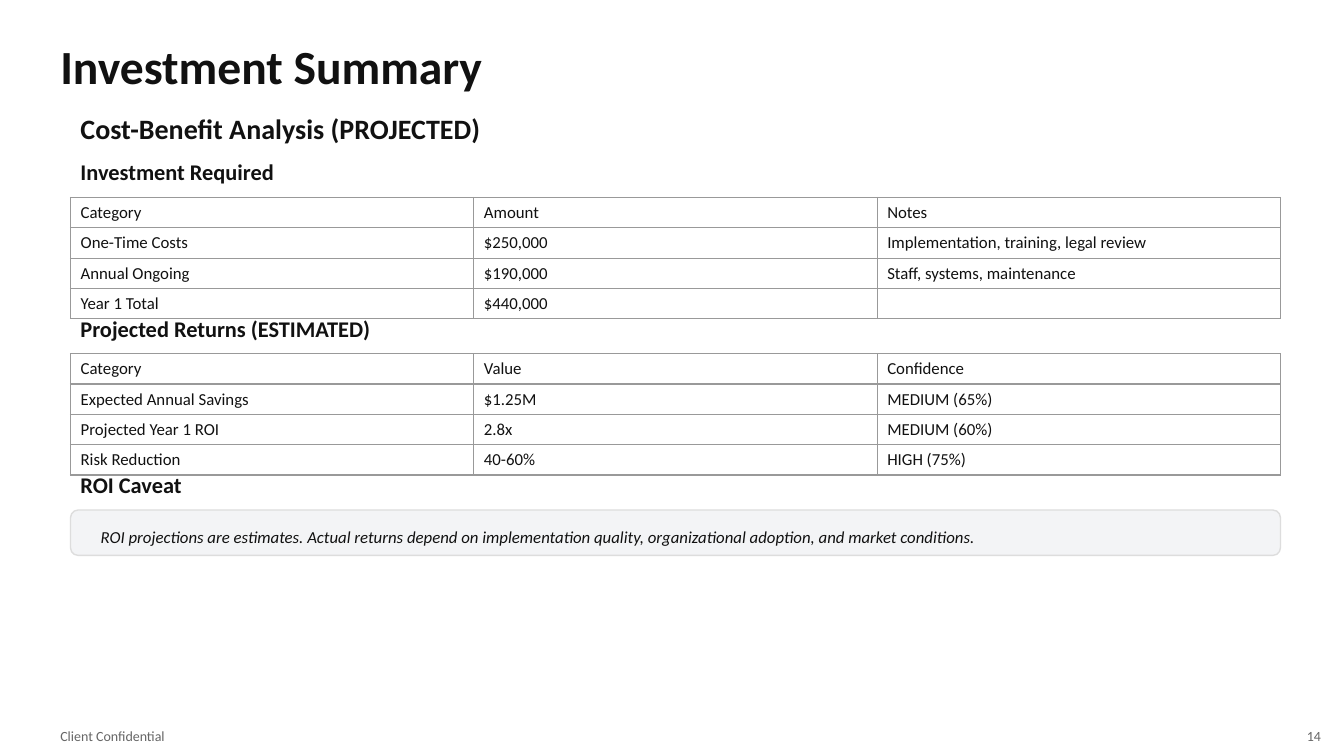
from dataclasses import dataclass

from lxml.etree import SubElement
from pptx import Presentation
from pptx.dml.color import RGBColor
from pptx.enum.shapes import MSO_SHAPE
from pptx.enum.text import MSO_ANCHOR, PP_ALIGN
from pptx.oxml.ns import qn
from pptx.slide import Slide
from pptx.table import _Cell
from pptx.text.text import _Paragraph
from pptx.util import Inches, Pt

FONT = "Calibri"
INK, GREY, RULE, WHITE = "111111", "666666", "999999", "FFFFFF"
LEFT, WIDTH = 0.7, 12
HEAD_H, GRID_H = 0.35, 0.94
CELL_SIZE = 12


@dataclass
class Label:
    text: str
    left: float
    top: float
    width: float
    height: float
    size: int
    color: str = INK
    bold: bool = False
    italic: bool = False
    align: PP_ALIGN | None = None
    spacing: float | None = None


@dataclass
class Grid:
    top: float
    rows: list[list[str]]


def heading(text: str, top: float, size: int = 16) -> Label:
    return Label(text, LEFT, top, WIDTH, HEAD_H, size, bold=True)


LABELS = [
    Label("Investment Summary", 0.5, 0.3, 12.5, 0.7, 34, bold=True),
    Label("Client Confidential", 0.5, 7.18, 6, 0.25, 10, GREY),
    Label("14", 12.6, 7.18, 0.6, 0.25, 10, GREY, align=PP_ALIGN.RIGHT),
    heading("Cost-Benefit Analysis (PROJECTED)", 1.1, 20),
    heading("Investment Required", 1.53),
    heading("Projected Returns (ESTIMATED)", 3.08),
    heading("ROI Caveat", 4.63),
]
GRIDS = [
    Grid(1.96, [
        ["Category", "Amount", "Notes"],
        ["One-Time Costs", "$250,000", "Implementation, training, legal review"],
        ["Annual Ongoing", "$190,000", "Staff, systems, maintenance"],
        ["Year 1 Total", "$440,000", ""],
    ]),
    Grid(3.51, [
        ["Category", "Value", "Confidence"],
        ["Expected Annual Savings", "$1.25M", "MEDIUM (65%)"],
        ["Projected Year 1 ROI", "2.8x", "MEDIUM (60%)"],
        ["Risk Reduction", "40-60%", "HIGH (75%)"],
    ]),
]
CAVEAT = Label(
    "ROI projections are estimates. Actual returns depend on implementation "
    "quality, organizational adoption, and market conditions.",
    0.9, 5.18, 11.6, 0.25, 12, italic=True, spacing=1.25,
)


def rgb(code: str) -> RGBColor:
    return RGBColor.from_string(code)


def add_run(para: _Paragraph, text: str, size: int, color: str = INK,
            bold: bool = False, italic: bool = False) -> None:
    run = para.add_run()
    run.text = text
    font = run.font
    font.name, font.size = FONT, Pt(size)
    font.bold, font.italic = bold, italic
    font.color.rgb = rgb(color)


def add_label(slide: Slide, label: Label) -> None:
    box = slide.shapes.add_textbox(
        Inches(label.left), Inches(label.top), Inches(label.width), Inches(label.height))
    frame = box.text_frame
    frame.word_wrap = True
    frame.vertical_anchor = MSO_ANCHOR.MIDDLE
    para = frame.paragraphs[0]
    para.alignment = label.align
    para.line_spacing = label.spacing
    add_run(para, label.text, label.size, label.color, label.bold, label.italic)


def add_edges(cell: _Cell) -> None:
    props = cell._tc.get_or_add_tcPr()
    for spot, side in enumerate(("lnL", "lnR", "lnT", "lnB")):
        line = SubElement(props, qn(f"a:{side}"), w=str(Pt(1)))
        fill = SubElement(line, qn("a:solidFill"))
        SubElement(fill, qn("a:srgbClr"), val=RULE)
        props.insert(spot, line)


def add_grid(slide: Slide, grid: Grid) -> None:
    table = slide.shapes.add_table(
        len(grid.rows), len(grid.rows[0]),
        Inches(LEFT), Inches(grid.top), Inches(WIDTH), Inches(GRID_H)).table
    table.first_row = table.horz_banding = False
    for r, row in enumerate(grid.rows):
        for c, text in enumerate(row):
            cell = table.cell(r, c)
            cell.fill.solid()
            cell.fill.fore_color.rgb = rgb(WHITE)
            add_edges(cell)
            para = cell.text_frame.paragraphs[0]
            if text:
                add_run(para, text, CELL_SIZE)
            else:
                # An empty cell still needs its size, or its row grows.
                SubElement(para._p, qn("a:endParaRPr"), sz=str(CELL_SIZE * 100))


def add_panel(slide: Slide) -> None:
    panel = slide.shapes.add_shape(
        MSO_SHAPE.ROUNDED_RECTANGLE,
        Inches(LEFT), Inches(5.06), Inches(WIDTH), Inches(0.45))
    panel.shadow.inherit = False
    panel.fill.solid()
    panel.fill.fore_color.rgb = rgb("F3F4F6")
    panel.line.color.rgb = rgb("DDDDDD")
    panel.line.width = Pt(1)


def main() -> None:
    deck = Presentation()
    deck.slide_width, deck.slide_height = Inches(13.33), Inches(7.5)
    slide = deck.slides.add_slide(deck.slide_layouts[6])
    slide.background.fill.solid()
    slide.background.fill.fore_color.rgb = rgb(WHITE)
    for label in LABELS:
        add_label(slide, label)
    for grid in GRIDS:
        add_grid(slide, grid)
    add_panel(slide)
    add_label(slide, CAVEAT)
    deck.save("out.pptx")


if __name__ == "__main__":
    main()
